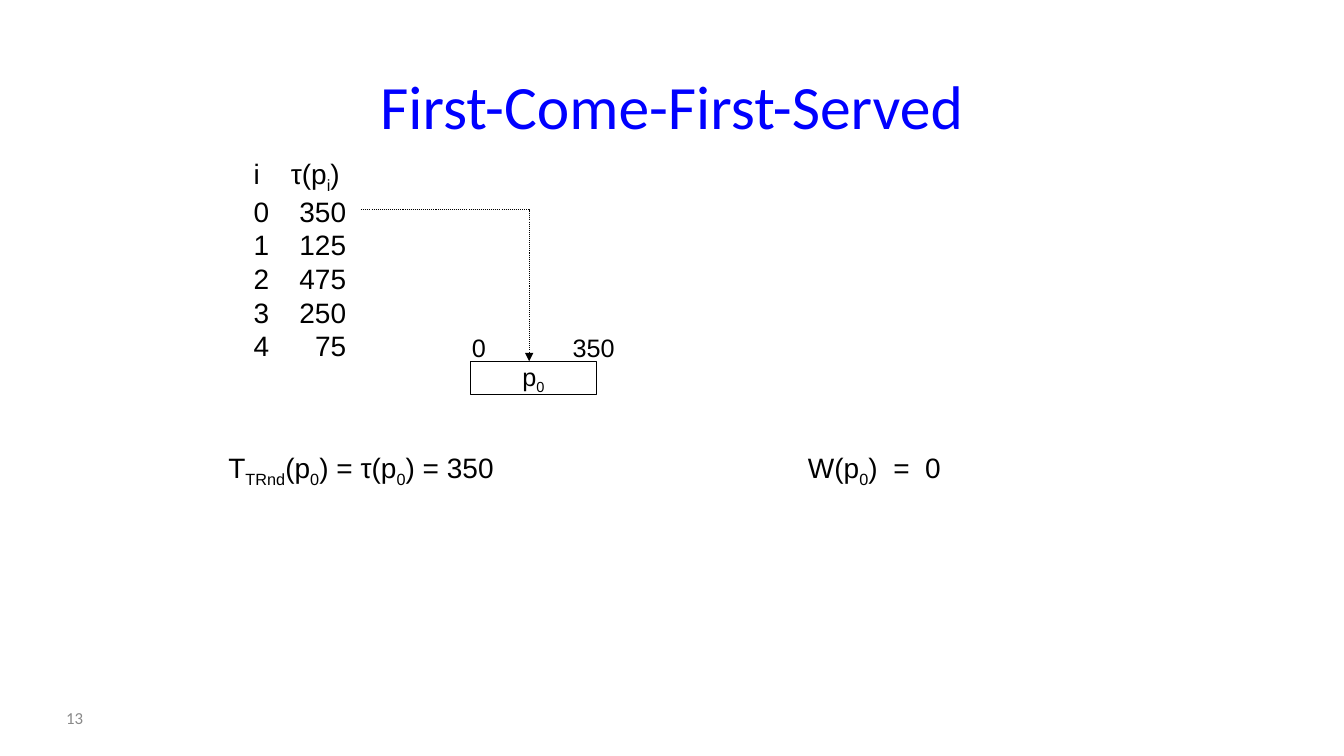
import pptx
import pptx.util
import pptx.dml.color
import pptx.enum.dml
import pptx.enum.shapes
import pptx.enum.text
import pptx.oxml
import pptx.oxml.ns
from lxml import etree

BLACK = pptx.dml.color.RGBColor(0x00, 0x00, 0x00)
WHITE = pptx.dml.color.RGBColor(0xFF, 0xFF, 0xFF)
BLUE = pptx.dml.color.RGBColor(0x00, 0x00, 0xFF)
GREY = pptx.dml.color.RGBColor(0x89, 0x89, 0x89)

COLUMNS, ROWS = 160, 90
CELL = pptx.util.Inches(7.5) // ROWS
LEFT = pptx.enum.text.PP_ALIGN.LEFT
CENTER = pptx.enum.text.PP_ALIGN.CENTER
TOP = pptx.enum.text.MSO_ANCHOR.TOP
MIDDLE = pptx.enum.text.MSO_ANCHOR.MIDDLE

SERVICE_TIMES = [350, 125, 475, 250, 75]


def cells(*counts):
    return [pptx.util.Emu(int(count * CELL)) for count in counts]


def style(font, size, color=BLACK, face="Arial"):
    font.name = face
    font.size = pptx.util.Pt(size)
    font.color.rgb = color


def write_formula(paragraph, formula, size, color=BLACK, face="Arial"):
    """Text between bars is set as a subscript."""
    for index, part in enumerate(formula.split("|")):
        if part:
            run = paragraph.add_run()
            run.text = part
            style(run.font, size, color, face)
            if index % 2:
                run.font._element.set("baseline", "-25000")


def add_label(slide, area, formula, size, color=BLACK, face="Arial", anchor=TOP):
    frame = slide.shapes.add_textbox(*cells(*area)).text_frame
    frame.word_wrap = True
    frame.vertical_anchor = anchor
    write_formula(frame.paragraphs[0], formula, size, color, face)
    return frame


def add_tabs(paragraph, stops):
    tab_list = etree.SubElement(paragraph._p.get_or_add_pPr(), pptx.oxml.ns.qn("a:tabLst"))
    for position, alignment in stops:
        tab = etree.SubElement(tab_list, pptx.oxml.ns.qn("a:tab"))
        tab.set("pos", str(pptx.util.Inches(position)))
        tab.set("algn", alignment)


def add_service_times(slide, area):
    frame = add_label(slide, area, "i\tτ(p|i|)", 20)
    add_tabs(frame.paragraphs[0], [(0.37, "l")])
    for process, duration in enumerate(SERVICE_TIMES):
        paragraph = frame.add_paragraph()
        add_tabs(paragraph, [(0.92, "r")])
        write_formula(paragraph, f"{process}\t{duration}", 20)


def add_process(slide, area, formula):
    process = slide.shapes.add_shape(pptx.enum.shapes.MSO_SHAPE.RECTANGLE, *cells(*area))
    process.shadow.inherit = False
    process.fill.solid()
    process.fill.fore_color.rgb = WHITE
    process.line.color.rgb = BLACK
    process.line.width = pptx.util.Pt(0.75)
    frame = process.text_frame
    frame.vertical_anchor = MIDDLE
    frame.paragraphs[0].alignment = CENTER
    write_formula(frame.paragraphs[0], formula, 18)


def add_dotted_arrow(slide, start, *corners):
    builder = slide.shapes.build_freeform(*start, scale=CELL)
    builder.add_line_segments(corners, close=False)
    arrow = builder.convert_to_shape()
    arrow.shadow.inherit = False
    arrow.fill.background()
    arrow.line.color.rgb = BLACK
    arrow.line.width = pptx.util.Pt(0.75)
    arrow.line.dash_style = pptx.enum.dml.MSO_LINE.ROUND_DOT
    head = etree.SubElement(arrow.line._get_or_add_ln(), pptx.oxml.ns.qn("a:tailEnd"))
    head.set("type", "triangle")


def set_title(slide, area, text):
    title = slide.shapes.title
    title.left, title.top, title.width, title.height = cells(*area)
    frame = title.text_frame
    frame.text = text
    frame.vertical_anchor = MIDDLE
    frame.paragraphs[0].alignment = CENTER
    style(frame.paragraphs[0].runs[0].font, 44, BLUE, "Calibri")


def main():
    deck = pptx.Presentation()
    deck.slide_width, deck.slide_height = cells(COLUMNS, ROWS)
    slide = deck.slides.add_slide(deck.slide_layouts.get_by_name("Title Only"))

    set_title(slide, (29, 8, 102, 9), "First-Come-First-Served")
    add_service_times(slide, (29, 18, 13.6, 25.5))
    add_process(slide, (56, 43, 15, 4), "p|0|")
    add_label(slide, (26, 53, 35.5, 5.25), "T|TRnd|(p|0|) = τ(p|0|) = 350", 20)
    add_label(slide, (95, 53, 18.6, 5.25), "W(p|0|)  =  0", 20)
    add_dotted_arrow(slide, (43, 25), (63, 25), (63, 43))
    add_label(slide, (55, 39, 4.1, 4.8), "0", 18)
    add_label(slide, (67, 39, 7.5, 4.8), "350", 18)
    add_label(slide, (6.7, 83, 17.3, 4.8), "13", 12, GREY, "Calibri", MIDDLE)

    deck.save("out.pptx")


if __name__ == "__main__":
    main()
